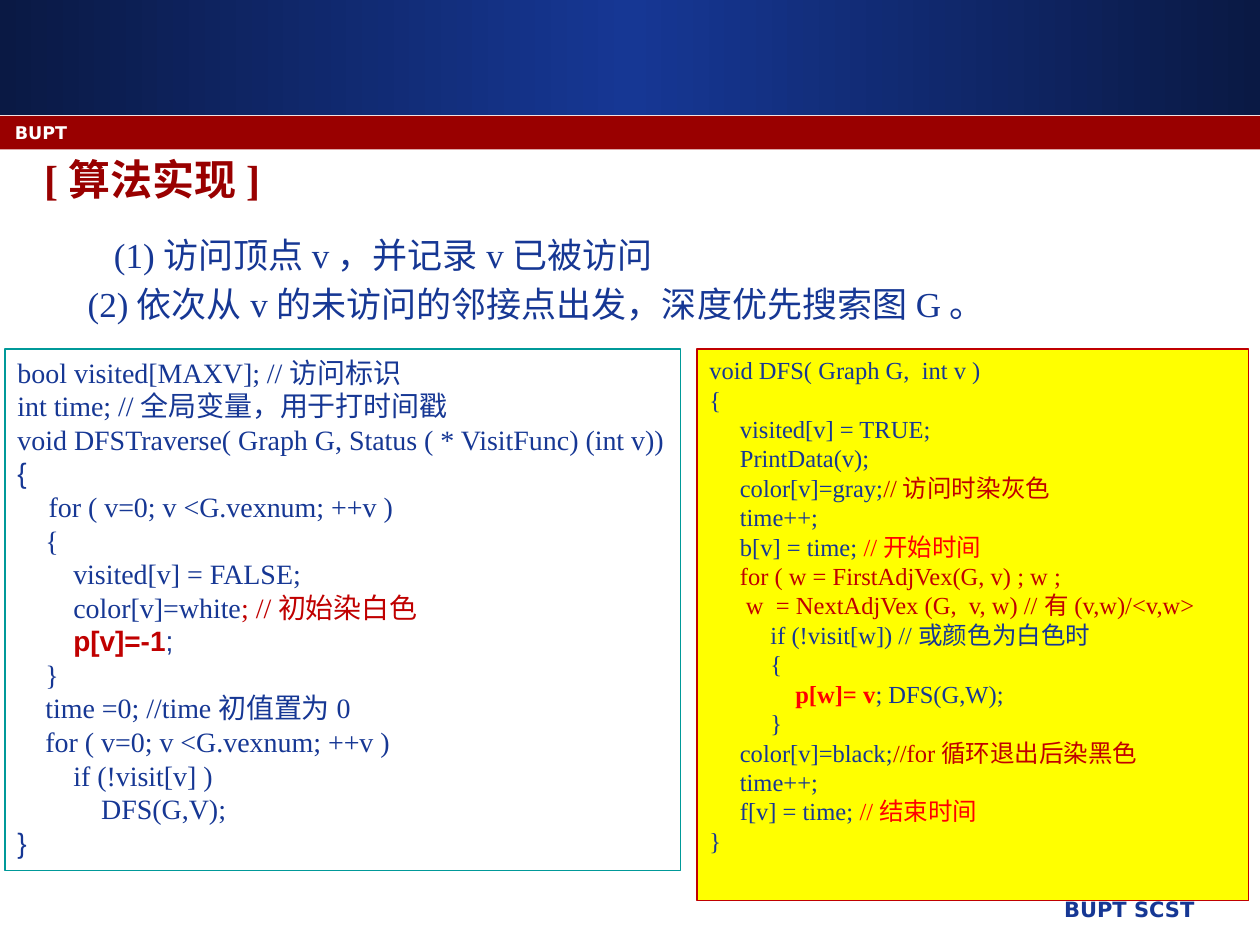
import copy
from typing import NamedTuple

import pptx
import pptx.dml.color
import pptx.enum.shapes
import pptx.enum.text
import pptx.oxml.ns
import pptx.util

Pt = pptx.util.Pt
RGBColor = pptx.dml.color.RGBColor
PP_ALIGN = pptx.enum.text.PP_ALIGN

BLUE = RGBColor(0x16, 0x37, 0x94)
NAVY = RGBColor(0x0A, 0x19, 0x44)
MAROON = RGBColor(0x99, 0x00, 0x00)
CRIMSON = RGBColor(0xC0, 0x00, 0x00)
RED = RGBColor(0xFF, 0x00, 0x00)
TEAL = RGBColor(0x00, 0x99, 0x99)
YELLOW = RGBColor(0xFF, 0xFF, 0x00)
WHITE = RGBColor(0xFF, 0xFF, 0xFF)

SERIF, SANS, LABEL = "Times New Roman", "Arial", "DejaVu Sans"


class Run(NamedTuple):
    text: str
    color: RGBColor = BLUE
    bold: bool = False
    font: str = SERIF


class CodeBox(NamedTuple):
    left: float
    top: float
    width: float
    height: float
    size: float
    line: RGBColor
    fill: RGBColor | None
    lines: list[list[Run]]


TRAVERSE = [
    [Run("bool visited[MAXV]; //访问标识")],
    [Run("int time; //全局变量，用于打时间戳")],
    [Run("void DFSTraverse( Graph G, Status ( * VisitFunc) (int v))")],
    [Run("{", font=SANS)],
    [Run("    ", font=SANS), Run("for ( v=0; v <G.vexnum; ++v )")],
    [Run("    {")],
    [Run("        visited[v] = FALSE;")],
    [Run("        color[v]=white"), Run("; //初始染白色", CRIMSON)],
    [Run("        "), Run("p[v]=-1", CRIMSON, True, SANS), Run(";", font=SANS)],
    [Run("    }")],
    [Run("    time =0; //time初值置为0")],
    [Run("    for ( v=0; v <G.vexnum; ++v )")],
    [Run("        if (!visit[v] )")],
    [Run("            DFS(G,V);")],
    [Run("}", font=SANS)],
]

DFS = [
    [Run("void DFS( Graph G,  int v )")],
    [Run("{")],
    [Run("     visited[v] = TRUE;")],
    [Run("     PrintData(v);")],
    [Run("     color[v]=gray;"), Run("//访问时染灰色", CRIMSON)],
    [Run("     time++;")],
    [Run("     b[v] = time; "), Run("//开始时间", RED)],
    [Run("     for ( w = FirstAdjVex(G, v) ; w ;", CRIMSON)],
    [Run("      w  = NextAdjVex (G,  v, w) //有(v,w)/<v,w>", CRIMSON)],
    [Run("          if (!visit[w]) //或颜色为白色时")],
    [Run("          {")],
    [Run("              "), Run("p[w]= v", RED, True), Run("; DFS(G,W);")],
    [Run("          }")],
    [Run("     color[v]=black;"), Run("//for循环退出后染黑色", CRIMSON)],
    [Run("     time++;")],
    [Run("     f[v] = time; "), Run("//结束时间", RED)],
    [Run("}")],
]

CODE_BOXES = [
    CodeBox(2.9, 199.4, 386, 298, 16, TEAL, None, TRAVERSE),
    CodeBox(398.2, 199.4, 315.4, 315.4, 14, CRIMSON, YELLOW, DFS),
]


def add_text(p, text: str, *, size: float, color=BLUE, bold=False, font=SERIF,
             align=PP_ALIGN.LEFT) -> None:
    """Append one formatted run to a paragraph."""
    p.alignment = align
    r = p.add_run()
    r.text = text
    r.font.size, r.font.bold, r.font.name = Pt(size), bold, font
    r.font.color.rgb = color


def prepare_frame(sp):
    tf = sp.text_frame
    tf.word_wrap = True
    tf.auto_size = pptx.enum.text.MSO_AUTO_SIZE.NONE
    tf.vertical_anchor = pptx.enum.text.MSO_ANCHOR.TOP
    return tf


def add_textbox(s, left: float, top: float, width: float, height: float):
    return prepare_frame(s.shapes.add_textbox(Pt(left), Pt(top), Pt(width), Pt(height)))


def add_rect(s, left: float, top: float, width: float, height: float, *,
             fill=None, line=None):
    sp = s.shapes.add_shape(pptx.enum.shapes.MSO_SHAPE.RECTANGLE,
                            Pt(left), Pt(top), Pt(width), Pt(height))
    sp.shadow.inherit = False
    if fill is None:
        sp.fill.background()
    else:
        sp.fill.solid()
        sp.fill.fore_color.rgb = fill
    if line is None:
        sp.line.fill.background()
    else:
        sp.line.color.rgb = line
        sp.line.width = Pt(0.75)
    return sp


def set_mirror_gradient(sp, edge: RGBColor, middle: RGBColor) -> None:
    """Fill left to right with edge, middle, edge."""
    sp.fill.gradient()
    sp.fill.gradient_angle = 0
    stop_list = sp.fill._fill._gradFill.find(pptx.oxml.ns.qn("a:gsLst"))
    stop_list.insert(1, copy.deepcopy(stop_list[0]))
    for stop, position, color in zip(sp.fill.gradient_stops, (0, 0.5, 1),
                                     (edge, middle, edge)):
        stop.position = position
        stop.color.rgb = color


def add_code(s, box: CodeBox) -> None:
    sp = add_rect(s, box.left, box.top, box.width, box.height,
                  fill=box.fill, line=box.line)
    tf = prepare_frame(sp)
    for i, line in enumerate(box.lines):
        p = tf.add_paragraph() if i else tf.paragraphs[0]
        p.line_spacing = Pt(box.size * 1.2)
        for run in line:
            add_text(p, run.text, size=box.size, color=run.color,
                     bold=run.bold, font=run.font)


def main() -> None:
    prs = pptx.Presentation()
    prs.slide_width, prs.slide_height = Pt(720), Pt(540)
    s = prs.slides.add_slide(prs.slide_layouts[5])

    set_mirror_gradient(add_rect(s, 0, 0, 720, 65.5), NAVY, BLUE)
    add_rect(s, 0, 66.2, 720, 19.2, fill=MAROON)

    footer = add_textbox(s, 303, 509, 386.7, 25)
    add_text(footer.paragraphs[0], "BUPT SCST", size=12, bold=True, font=LABEL,
             align=PP_ALIGN.RIGHT)
    banner = add_textbox(s, 1.4, 66.2, 666, 18)
    add_text(banner.paragraphs[0], "BUPT", size=10, color=WHITE, bold=True, font=LABEL)

    title = s.shapes.title
    title.left, title.top, title.width, title.height = Pt(18), Pt(84), Pt(648), Pt(42)
    add_text(prepare_frame(title).paragraphs[0], "[算法实现]", size=24,
             color=MAROON, bold=True)

    steps = add_textbox(s, 18, 130, 648, 66)
    for i, (indent, text) in enumerate([
        (40, "(1)访问顶点v，并记录v已被访问"),
        (25, "(2)依次从v的未访问的邻接点出发，深度优先搜索图G。"),
    ]):
        p = steps.add_paragraph() if i else steps.paragraphs[0]
        p._p.get_or_add_pPr().set("marL", str(Pt(indent)))
        if i:
            p.space_before = Pt(4)
        add_text(p, text, size=20)

    for box in CODE_BOXES:
        add_code(s, box)

    prs.save("out.pptx")


if __name__ == "__main__":
    main()
